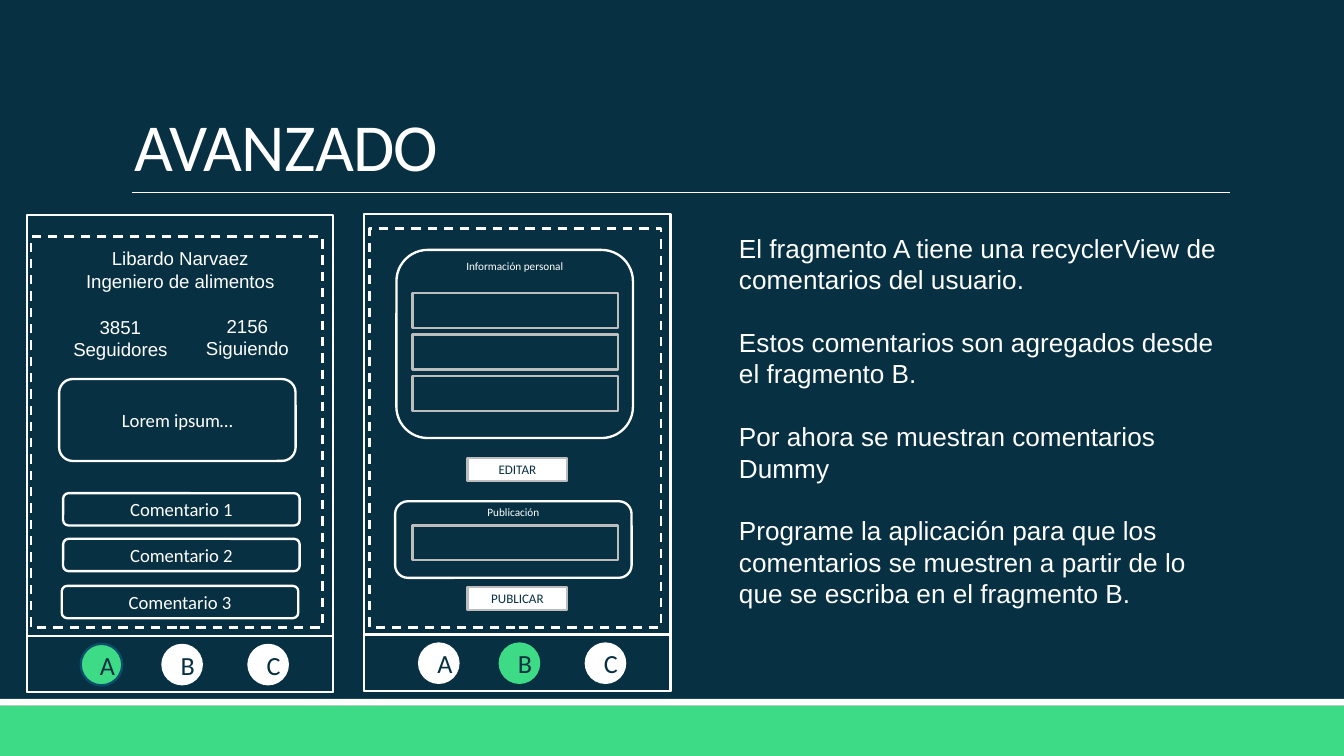
"""Build the AVANZADO slide with two app screen wireframes and an explanation."""
from dataclasses import dataclass
from typing import Optional

from lxml import etree
from pptx import Presentation
from pptx.dml.color import RGBColor
from pptx.enum.dml import MSO_LINE
from pptx.enum.shapes import MSO_CONNECTOR, MSO_SHAPE
from pptx.enum.text import MSO_ANCHOR, MSO_AUTO_SIZE, PP_ALIGN
from pptx.oxml.ns import qn
from pptx.util import Inches, Pt

NAVY = RGBColor(0x07, 0x30, 0x42)
BLUE = RGBColor(0x0B, 0x4D, 0x6A)
GREEN = RGBColor(0x3D, 0xDB, 0x85)
WHITE = RGBColor(0xFF, 0xFF, 0xFF)
GRAY = RGBColor(0xBD, 0xBD, 0xBD)

RECTANGLE = MSO_SHAPE.RECTANGLE
ROUNDED = MSO_SHAPE.ROUNDED_RECTANGLE
OVAL = MSO_SHAPE.OVAL
STRAIGHT = MSO_CONNECTOR.STRAIGHT
DASH = MSO_LINE.DASH
TOP, MIDDLE, BOTTOM = MSO_ANCHOR.TOP, MSO_ANCHOR.MIDDLE, MSO_ANCHOR.BOTTOM
LEFT, CENTER = PP_ALIGN.LEFT, PP_ALIGN.CENTER
NO_AUTOFIT = MSO_AUTO_SIZE.NONE

EXPLANATION = (
    "El fragmento A tiene una recyclerView de comentarios del usuario.",
    "Estos comentarios son agregados desde el fragmento B.",
    "Por ahora se muestran comentarios Dummy",
    "Programe la aplicación para que los comentarios se muestren a partir "
    "de lo que se escriba en el fragmento B.",
)


@dataclass
class Box:
    left: float
    top: float
    width: float
    height: float
    kind: int = RECTANGLE
    fill: Optional[RGBColor] = None
    line: Optional[RGBColor] = WHITE
    dashed: bool = False
    text: str = ""
    size: float = 10
    color: RGBColor = WHITE
    anchor: int = MIDDLE


@dataclass
class Label:
    left: float
    top: float
    width: float
    height: float
    lines: tuple[str, ...]
    size: float = 10
    align: int = CENTER
    wrap: bool = True
    space_after: float = 0


@dataclass
class Screen:
    left: float
    top: float
    active: str
    active_line: Optional[RGBColor]
    content: Box


SCREENS = (
    Screen(0.2, 1.6, "A", BLUE, Box(0.23, 1.76, 2.17, 2.91, dashed=True)),
    Screen(2.71, 1.59, "B", None, Box(2.75, 1.7, 2.17, 2.97, dashed=True)),
)
TAB_OFFSETS = {"A": 0.4, "B": 1.0, "C": 1.64}

PROFILE_LABELS = (
    Label(0.3, 1.79, 2.08, 0.44, ("Libardo Narvaez", "Ingeniero de alimentos")),
    Label(0.44, 2.3, 0.91, 0.44, ("3851", "Seguidores"), wrap=False),
    Label(1.43, 2.29, 0.82, 0.44, ("2156", "Siguiendo"), wrap=False),
)
CARDS = (
    Box(0.44, 2.82, 1.76, 0.61, ROUNDED, text="Lorem ipsum…"),
    Box(2.95, 1.86, 1.76, 1.4, ROUNDED, text="Información personal", size=6, anchor=TOP),
    Box(2.94, 3.73, 1.76, 0.57, ROUNDED, text="Publicación", size=6, anchor=TOP),
    Box(0.47, 3.67, 1.76, 0.24, ROUNDED, text="Comentario 1"),
    Box(0.47, 4.01, 1.76, 0.24, ROUNDED, text="Comentario 2"),
    Box(0.46, 4.36, 1.76, 0.24, ROUNDED, text="Comentario 3"),
)
FIELD_TOPS = (2.18, 2.49, 2.8, 3.91)
BUTTON_TOPS = {"EDITAR": 3.41, "PUBLICAR": 4.37}


def format_paragraph(paragraph, font_name: str, size: float, color: RGBColor, align: int) -> None:
    """Apply alignment and font to every run of a paragraph."""
    paragraph.alignment = align
    for run in paragraph.runs:
        run.font.name = font_name
        run.font.size = Pt(size)
        run.font.color.rgb = color


def draw_box(slide, box: Box) -> None:
    """Draw one preset shape with its optional text."""
    shape = slide.shapes.add_shape(
        box.kind, Inches(box.left), Inches(box.top), Inches(box.width), Inches(box.height)
    )
    shape.shadow.inherit = False
    if box.fill is None:
        shape.fill.background()
    else:
        shape.fill.solid()
        shape.fill.fore_color.rgb = box.fill
    if box.line is None:
        shape.line.fill.background()
    else:
        shape.line.color.rgb = box.line
        shape.line.width = Pt(1.25)
        if box.dashed:
            shape.line.dash_style = DASH
    if box.text:
        text_frame = shape.text_frame
        text_frame.text = box.text
        text_frame.vertical_anchor = box.anchor
        if box.anchor == TOP:
            text_frame.margin_top = 0
        format_paragraph(text_frame.paragraphs[0], "Calibri", box.size, box.color, CENTER)


def draw_label(slide, label: Label) -> None:
    """Draw a text box with one paragraph per line."""
    shape = slide.shapes.add_textbox(
        Inches(label.left), Inches(label.top), Inches(label.width), Inches(label.height)
    )
    text_frame = shape.text_frame
    text_frame.word_wrap = label.wrap
    text_frame.text = "\n".join(label.lines)
    for paragraph in text_frame.paragraphs:
        format_paragraph(paragraph, "Arial", label.size, WHITE, label.align)
        paragraph.space_after = Pt(label.space_after)


def draw_screen(slide, screen: Screen) -> None:
    """Draw a phone outline, its tab bar and its content area."""
    draw_box(slide, Box(screen.left, screen.top, 2.28, 3.55))
    draw_box(slide, Box(screen.left, screen.top + 3.13, 2.28, 0.42))
    draw_box(slide, screen.content)
    for letter, offset in TAB_OFFSETS.items():
        active = letter == screen.active
        draw_box(slide, Box(
            screen.left + offset, screen.top + 3.19, 0.31, 0.31, OVAL,
            fill=GREEN if active else WHITE, line=screen.active_line if active else None,
            text=letter, size=14, color=NAVY,
        ))


def draw_title(slide) -> None:
    """Place the title and the rule under it."""
    title = slide.shapes.title
    title.left, title.top = Inches(0.9), Inches(0.24)
    title.width, title.height = Inches(8.25), Inches(1.19)
    text_frame = title.text_frame
    text_frame.text = "AVANZADO"
    text_frame.auto_size = NO_AUTOFIT
    text_frame.vertical_anchor = BOTTOM
    paragraph = text_frame.paragraphs[0]
    paragraph.line_spacing = 0.85
    format_paragraph(paragraph, "Calibri", 36, WHITE, LEFT)
    paragraph.runs[0].font._element.set("spc", "-40")
    rule = slide.shapes.add_connector(
        STRAIGHT, Inches(0.98), Inches(1.43), Inches(9.15), Inches(1.43)
    )
    rule.line.color.rgb = WHITE
    rule.line.width = Pt(0.5)
    etree.SubElement(rule._element.spPr, qn("a:effectLst"))


def main() -> None:
    """Assemble and save the presentation."""
    presentation = Presentation()
    presentation.slide_width = Inches(10)
    presentation.slide_height = presentation.slide_width * 9 // 16
    slide = presentation.slides.add_slide(presentation.slide_layouts[5])
    slide.background.fill.solid()
    slide.background.fill.fore_color.rgb = NAVY
    draw_box(slide, Box(0, 5.25, 10, 0.38, fill=GREEN, line=None))
    draw_box(slide, Box(0, 5.2, 10, 0.05, fill=WHITE, line=None))
    draw_title(slide)
    draw_label(slide, Label(5.4, 1.68, 3.85, 2.93, EXPLANATION, 14, LEFT, space_after=16.8))
    for screen in SCREENS:
        draw_screen(slide, screen)
    for label in PROFILE_LABELS:
        draw_label(slide, label)
    for card in CARDS:
        draw_box(slide, card)
    for top in FIELD_TOPS:
        draw_box(slide, Box(3.07, top, 1.53, 0.26, line=GRAY))
    for text, top in BUTTON_TOPS.items():
        draw_box(slide, Box(3.48, top, 0.74, 0.17, fill=WHITE, line=GRAY, text=text, size=7, color=NAVY))
    presentation.save("out.pptx")


if __name__ == "__main__":
    main()
